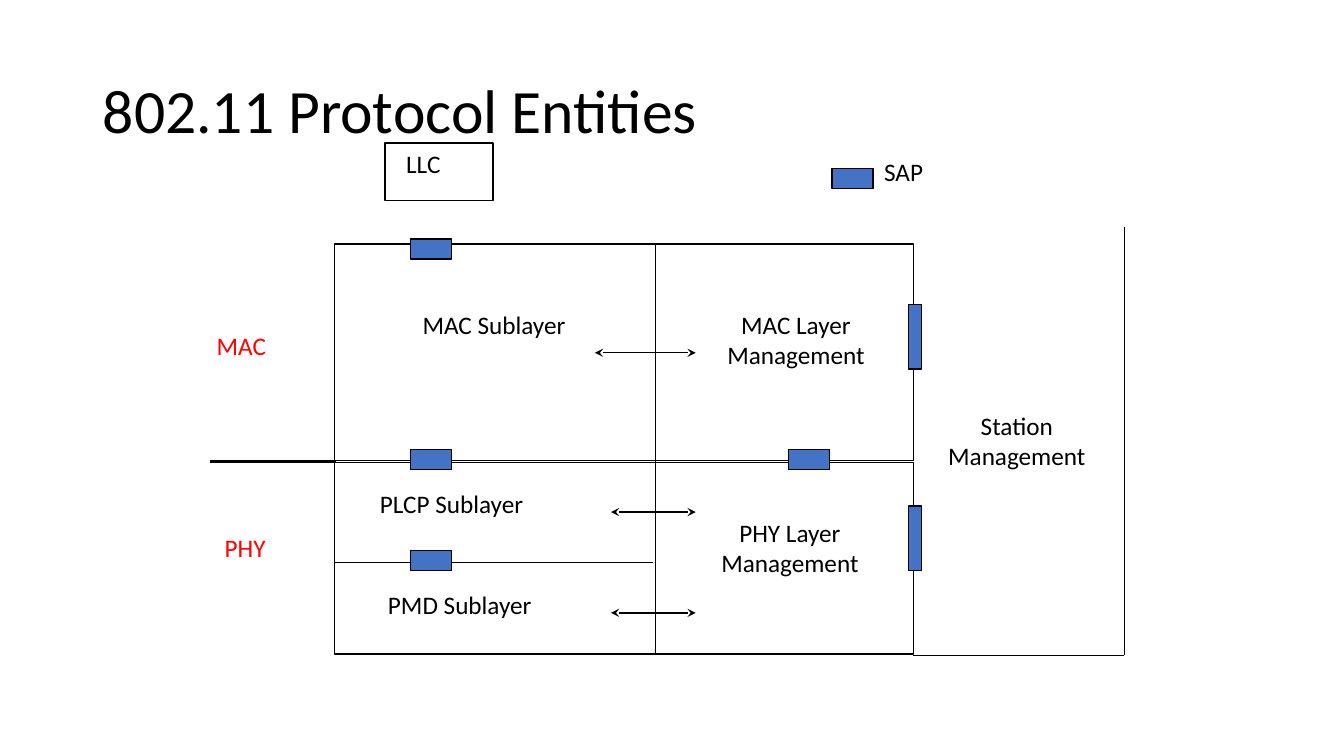
from pptx import Presentation
from pptx.dml.color import RGBColor
from pptx.enum.shapes import MSO_CONNECTOR, MSO_SHAPE
from pptx.enum.text import MSO_ANCHOR, MSO_AUTO_SIZE, PP_ALIGN
from pptx.oxml.ns import qn
from pptx.util import Inches, Pt
from lxml.etree import SubElement

BLACK = RGBColor(0x00, 0x00, 0x00)
RED = RGBColor(0xFF, 0x00, 0x00)
BLUE = RGBColor(0x44, 0x72, 0xC4)
LEFT, CENTER = PP_ALIGN.LEFT, PP_ALIGN.CENTER


class Diagram:
    """Draws the parts of a protocol diagram on one slide."""

    font_name = "Calibri"
    label_size = 18
    title_size = 44

    def __init__(self, slide):
        self.slide = slide

    def styled_run(self, paragraph, text, size, color, align):
        paragraph.alignment = align
        run = paragraph.add_run()
        run.text = text
        run.font.name = self.font_name
        run.font.size = Pt(size)
        run.font.color.rgb = color

    def title(self, text, left, top, width, height):
        heading = self.slide.shapes.title
        heading.left, heading.top = Inches(left), Inches(top)
        heading.width, heading.height = Inches(width), Inches(height)
        frame = heading.text_frame
        frame.auto_size = MSO_AUTO_SIZE.NONE
        frame.vertical_anchor = MSO_ANCHOR.MIDDLE
        frame.paragraphs[0].line_spacing = 0.9
        self.styled_run(frame.paragraphs[0], text, self.title_size, BLACK, LEFT)

    def box(self, left, top, width, height, fill=None):
        block = self.slide.shapes.add_shape(
            MSO_SHAPE.RECTANGLE,
            Inches(left), Inches(top), Inches(width), Inches(height))
        block.shadow.inherit = False
        if fill is None:
            block.fill.background()
        else:
            block.fill.solid()
            block.fill.fore_color.rgb = fill
        block.line.color.rgb = BLACK
        block.line.width = Pt(1)

    def sap(self, left, top, upright=False):
        width, height = (0.13, 0.64) if upright else (0.41, 0.2)
        self.box(left, top, width, height, BLUE)

    def line(self, x1, y1, x2, y2, weight=1, arrows=False):
        rule = self.slide.shapes.add_connector(
            MSO_CONNECTOR.STRAIGHT,
            Inches(x1), Inches(y1), Inches(x2), Inches(y2))
        rule.line.color.rgb = BLACK
        rule.line.width = Pt(weight)
        properties = rule.element.spPr
        if arrows:
            outline = properties.find(qn("a:ln"))
            for end in ("a:headEnd", "a:tailEnd"):
                SubElement(outline, qn(end), type="stealth")
        SubElement(properties, qn("a:effectLst"))

    def label(self, lines, left, top, width, height=0.4,
              align=LEFT, color=BLACK, wrap=True):
        caption = self.slide.shapes.add_textbox(
            Inches(left), Inches(top), Inches(width), Inches(height))
        frame = caption.text_frame
        frame.word_wrap = wrap
        frame.auto_size = MSO_AUTO_SIZE.SHAPE_TO_FIT_TEXT
        for i, text in enumerate(lines):
            paragraph = frame.add_paragraph() if i else frame.paragraphs[0]
            self.styled_run(paragraph, text, self.label_size, color, align)


def main():
    deck = Presentation()
    deck.slide_width, deck.slide_height = Inches(13.33), Inches(7.5)
    title_only = deck.slide_layouts[5]
    diagram = Diagram(deck.slides.add_slide(title_only))
    diagram.title("802.11 Protocol Entities", 0.92, 0.4, 11.5, 1.45)

    # MAC and PHY layers, with their divisions
    diagram.box(3.32, 2.42, 5.74, 2.15)
    diagram.box(3.32, 4.59, 5.74, 1.9)
    diagram.line(6.5, 2.42, 6.5, 6.5)
    diagram.line(6.48, 5.58, 3.31, 5.58)
    diagram.line(3.33, 4.58, 2.08, 4.58, weight=2)

    # Open frame of station management
    diagram.line(9.06, 6.5, 11.15, 6.5)
    diagram.line(11.15, 6.5, 11.15, 2.25)

    # Service access points
    for left, top in ((4.07, 2.37), (4.07, 4.46), (4.07, 5.46), (7.82, 4.46)):
        diagram.sap(left, top)
    for top in (3.02, 5.02):
        diagram.sap(9.01, top, upright=True)

    # Exchanges between sublayers and management
    for start, y in ((5.9, 3.5), (6.06, 5.08), (6.06, 6.08)):
        diagram.line(start, y, 6.9, y, arrows=True)

    # Sublayers
    diagram.label(["MAC Sublayer"], 3.96, 3.02, 1.88, align=CENTER)
    diagram.label(["PLCP Sublayer"], 3.67, 4.8, 2.66)
    diagram.label(["PMD Sublayer"], 3.75, 5.8, 2.66)

    # Management entities
    for entity, left, top, height in (("MAC Layer", 6.81, 3.02, 0.71),
                                      ("PHY Layer", 6.75, 5.08, 0.71),
                                      ("Station", 9, 4.02, 1.01)):
        diagram.label([entity, "Management"], left, top, 2.17, height, CENTER)

    # Layer names
    diagram.label(["MAC"], 2.05, 3.23, 0.7, color=RED, wrap=False)
    diagram.label(["PHY"], 2.13, 5.23, 0.61, color=RED, wrap=False)

    # LLC above the MAC layer
    diagram.box(3.82, 1.42, 1.07, 0.57)
    diagram.label(["LLC"], 3.93, 1.42, 1.72)

    # Legend
    diagram.sap(8.25, 1.67)
    diagram.label(["SAP"], 8.67, 1.5, 1.72)

    deck.save("out.pptx")


if __name__ == "__main__":
    main()
